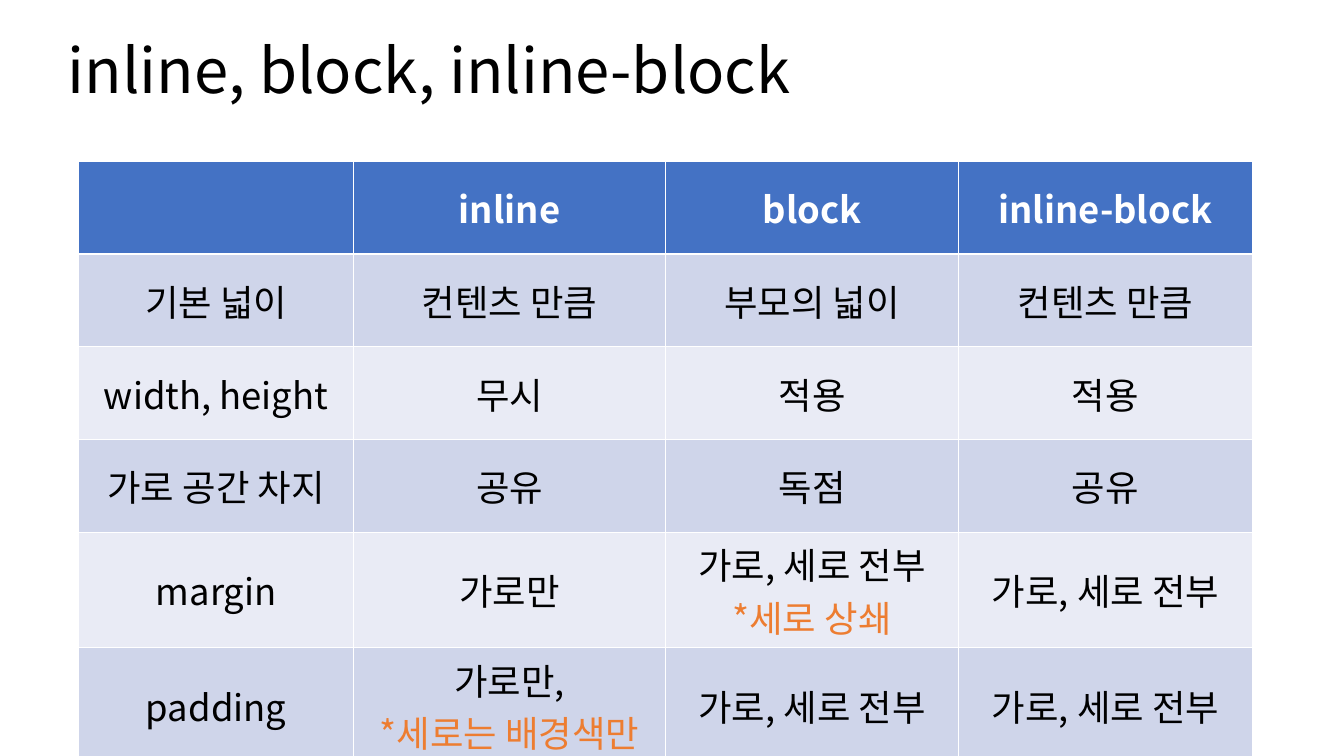
from lxml import etree
from pptx import Presentation
from pptx.dml.color import RGBColor
from pptx.enum.text import MSO_ANCHOR, MSO_AUTO_SIZE, PP_ALIGN
from pptx.oxml.ns import qn
from pptx.util import Inches, Pt

MIDDLE = MSO_ANCHOR.MIDDLE
LEFT, CENTER = PP_ALIGN.LEFT, PP_ALIGN.CENTER
FONT = "Noto Sans CJK KR"
COLORS = {
    "header": "4472C4",
    "band_dark": "CFD5EA",
    "band_light": "E9EBF5",
    "text": "000000",
    "header_text": "FFFFFF",
    "note": "ED7D31",
}
TITLE_LAYOUT = 5
COL_WIDTHS = [2.73, 3.09, 2.91, 2.91]
ROW_HEIGHTS = [0.92] * 5 + [1.01]
ROWS = [
    ["", "inline", "block", "inline-block"],
    ["기본 넓이", "컨텐츠 만큼", "부모의 넓이", "컨텐츠 만큼"],
    ["width, height", "무시", "적용", "적용"],
    ["가로 공간 차지", "공유", "독점", "공유"],
    ["margin", "가로만", "가로, 세로 전부\n*세로 상쇄", "가로, 세로 전부"],
    ["padding", "가로만,\n*세로는 배경색만", "가로, 세로 전부", "가로, 세로 전부"],
]


def format_paragraph(p, size, color, align, bold=False):
    """Align the paragraph and style its runs, East Asian font included."""
    p.alignment = align
    for r in p.runs:
        r.font.size = Pt(size)
        r.font.bold = bold
        r.font.color.rgb = RGBColor.from_string(COLORS[color])
        r.font.name = FONT
        ea = etree.Element(qn("a:ea"), typeface=FONT)
        r.font._element.find(qn("a:latin")).addnext(ea)


prs = Presentation()
prs.slide_width, prs.slide_height = Inches(13.33), Inches(7.5)
s = prs.slides.add_slide(prs.slide_layouts[TITLE_LAYOUT])

title = s.shapes.title
title.left, title.top = Inches(0.57), Inches(0)
title.width, title.height = Inches(11.84), Inches(1.45)
tf = title.text_frame
tf.text = "inline, block, inline-block"
tf.vertical_anchor = MIDDLE
tf.auto_size = MSO_AUTO_SIZE.NONE
tf.paragraphs[0].line_spacing = 0.9
format_paragraph(tf.paragraphs[0], 44, "text", LEFT)

table = s.shapes.add_table(
    len(ROWS), len(COL_WIDTHS), Inches(0.78), Inches(1.6),
    Inches(sum(COL_WIDTHS)), Inches(sum(ROW_HEIGHTS))).table
for column, width in zip(table.columns, COL_WIDTHS):
    column.width = Inches(width)

for i, (labels, height) in enumerate(zip(ROWS, ROW_HEIGHTS)):
    table.rows[i].height = Inches(height)
    is_header = i == 0
    band = "header" if is_header else "band_dark" if i % 2 else "band_light"
    for j, label in enumerate(labels):
        cell = table.cell(i, j)
        cell.fill.solid()
        cell.fill.fore_color.rgb = RGBColor.from_string(COLORS[band])
        cell.vertical_anchor = MIDDLE
        cell.text_frame.text = label
        for p in cell.text_frame.paragraphs:
            color = "header_text" if is_header else "text"
            if p.text.startswith("*"):
                color = "note"
            format_paragraph(p, 26, color, CENTER, is_header)

prs.save("out.pptx")
